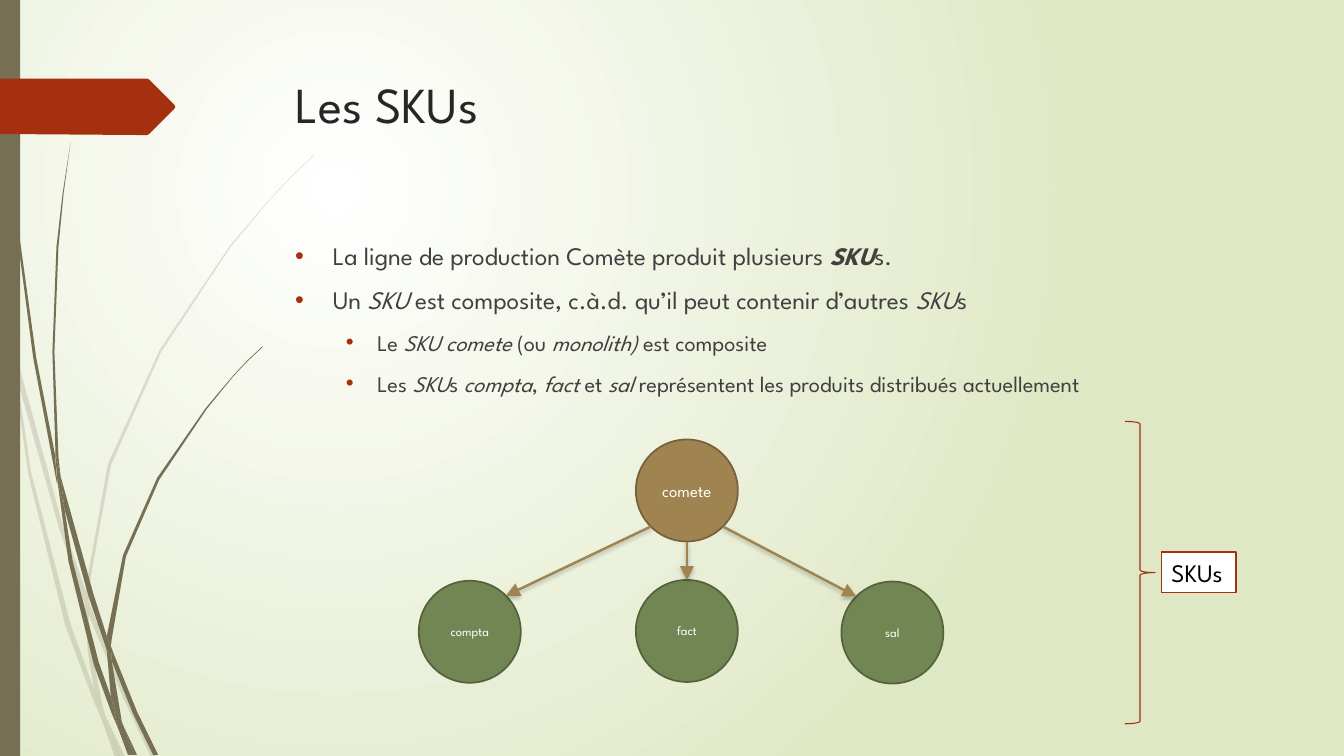
import math
import pptx
import pptx.util
import pptx.oxml
import pptx.oxml.ns
import pptx.dml.color
import pptx.enum.shapes
import pptx.enum.text

Cm = pptx.util.Cm
Pt = pptx.util.Pt
qn = pptx.oxml.ns.qn
KIND = pptx.enum.shapes.MSO_SHAPE
FONT = "League Spartan"
SPACE = 'xmlns:a="http://schemas.openxmlformats.org/drawingml/2006/main"'
HUES = {
    "white": "FFFFFF", "lime": "DFE8C4", "olive": "766F54", "rust": "A53010",
    "brick": "9E2E0F", "title": "262626", "body": "404040", "black": "000000",
    "tan": "9F8351", "brown": "76613C", "green": "728653", "moss": "54633D",
}
SIZE = 2.57
TOP = (17.31, 12.36)
PARTS = [
    ("compta", (11.84, 15.92), 135, 315),
    ("fact", (17.31, 15.9), 90, 270),
    ("sal", (22.49, 15.94), 45, 225),
]
GRID = Cm(2.54) / 100
PALE = [
    [(11, 350), (9, 322), (0, 282), (0, 299), (10, 344)],
    [(58, 522), (84, 599), (85, 586), (62, 520), (14, 345), (17, 376)],
    [(92, 607), (88, 596), (88, 610), (123, 694), (150, 751), (155, 751), (127, 692)],
    [(119, 751), (124, 751), (105, 711)],
    [(93, 683), (70, 619), (31, 469), (17, 376), (11, 350), (28, 470),
     (65, 621), (92, 693), (101, 714), (99, 707)],
    [(84, 599), (87, 646), (93, 683), (96, 692), (105, 711), (103, 706),
     (91, 646), (88, 610), (88, 608)],
    [(88, 584), (110, 462), (160, 349), (229, 245), (268, 198), (290, 175),
     (312, 154), (312, 153), (289, 175), (268, 197), (228, 244), (158, 348),
     (107, 461), (85, 584), (85, 586), (88, 596)],
    [(101, 714), (114, 751), (119, 751)],
    [(88, 608), (88, 610), (88, 596), (85, 586), (84, 599)],
    [(96, 692), (93, 683), (99, 707), (101, 714), (119, 751), (105, 711)],
]
DARK = [
    [(7, 110), (17, 233), (33, 355), (56, 477), (57, 481), (55, 457), (55, 453),
     (36, 355), (19, 232), (8, 109), (5, 48), (4, 0), (3, 0), (4, 48)],
    [(88, 592), (106, 645), (106, 633), (106, 631), (93, 590), (60, 472), (64, 505)],
    [(113, 649), (110, 641), (111, 656), (132, 708), (152, 749), (157, 749), (136, 706)],
    [(110, 691), (98, 657), (72, 556), (64, 505), (57, 477), (68, 557),
     (93, 659), (111, 708), (117, 722), (116, 717)],
    [(60, 472), (58, 453), (54, 349), (58, 245), (63, 193), (70, 141),
     (62, 193), (56, 245), (52, 349), (55, 449)],
    [(133, 749), (136, 749), (122, 719)],
    [(57, 477), (64, 505), (60, 472), (55, 449), (55, 453)],
    [(111, 633), (125, 552), (158, 476), (205, 406), (231, 374), (245, 359),
     (261, 344), (260, 344), (245, 358), (231, 373), (204, 405), (156, 474),
     (122, 551), (106, 631), (110, 641)],
    [(117, 722), (127, 749), (131, 749)],
    [(106, 645), (110, 691), (116, 706), (122, 719), (121, 716), (111, 656), (109, 651)],
    [(106, 645), (109, 651), (111, 656), (110, 641), (106, 631), (106, 633)],
    [(116, 706), (110, 691), (116, 717), (117, 722), (130, 749), (133, 749), (122, 719)],
]
FLAG = [(174, 106), (173, 108), (148, 133), (146, 134), (136, 134), (0, 133),
        (0, 78), (136, 78), (146, 78), (148, 79), (173, 104)]
POINTS = [
    (0, [("La ligne de production Comète produit plusieurs ", ""),
         ("SKU", "bi"), ("s.", "")]),
    (0, [("Un ", ""), ("SKU", "i"),
         (" est composite, c.à.d. qu’il peut contenir d’autres ", ""),
         ("SKU", "i"), ("s", "")]),
    (1, [("Le ", ""), ("SKU comete", "i"), (" (ou ", ""),
         ("monolith) ", "i"), ("est composite", "")]),
    (1, [("Les ", ""), ("SKU", "i"), ("s ", ""), ("compta", "i"), (", ", ""),
         ("fact", "i"), (" et ", ""), ("sal", "i"),
         (" représentent les produits distribués actuellement", "")]),
]


def tint(name):
    return pptx.dml.color.RGBColor.from_string(HUES[name])


def node(xml):
    return pptx.oxml.parse_xml(f"<a:box {SPACE}>{xml}</a:box>")[0]


def paint(shape, fill=None, line=None, width=1.25):
    shape.shadow.inherit = False
    if fill:
        shape.fill.solid()
        shape.fill.fore_color.rgb = tint(fill)
    else:
        shape.fill.background()
    if line:
        shape.line.color.rgb = tint(line)
        shape.line.width = Pt(width)
    else:
        shape.line.fill.background()


def block(slide, kind, x, y, w, h, **look):
    shape = slide.shapes.add_shape(kind, Cm(x), Cm(y), Cm(w), Cm(h))
    paint(shape, **look)
    return shape


def outline(slide, spots, fill, clear=False):
    pen = slide.shapes.build_freeform(*spots[0], scale=GRID)
    pen.add_line_segments(spots[1:], close=True)
    shape = pen.convert_to_shape()
    paint(shape, fill)
    if clear:
        shape._element.spPr.find(qn("a:solidFill"))[0].append(node('<a:alpha val="20000"/>'))


def write(para, text, size, hue, style=""):
    run = para.add_run()
    run.text = text
    font = run.font
    font.name, font.size = FONT, Pt(size)
    font.color.rgb = tint(hue)
    font.bold, font.italic = "b" in style, "i" in style


def field(slide, x, y, w, h):
    frame = slide.shapes.add_textbox(Cm(x), Cm(y), Cm(w), Cm(h)).text_frame
    frame.word_wrap = True
    return frame


def bullet(para, level):
    para.level = level
    para.space_before = Pt(10)
    props = para._p.get_or_add_pPr()
    props.set("marL", str(Cm((0.95, 2.07)[level])))
    props.set("indent", str(-Cm((0.95, 0.79)[level])))
    props.append(node(f'<a:buClr><a:srgbClr val="{HUES["rust"]}"/></a:buClr>'))
    props.append(node('<a:buFont typeface="Arial"/>'))
    props.append(node('<a:buChar char="•"/>'))


def disc(slide, text, mid, size, fill, line):
    x, y = mid
    shape = block(slide, KIND.OVAL, x - SIZE / 2, y - SIZE / 2, SIZE, SIZE, fill=fill, line=line)
    frame = shape.text_frame
    frame.vertical_anchor = pptx.enum.text.MSO_ANCHOR.MIDDLE
    frame.paragraphs[0].alignment = pptx.enum.text.PP_ALIGN.CENTER
    write(frame.paragraphs[0], text, size, "white")


def rim(mid, angle):
    turn = math.radians(angle)
    return Cm(mid[0] + SIZE / 2 * math.cos(turn)), Cm(mid[1] + SIZE / 2 * math.sin(turn))


def arrow(slide, start, end):
    link = slide.shapes.add_connector(pptx.enum.shapes.MSO_CONNECTOR.STRAIGHT, *start, *end)
    link.line.color.rgb = tint("tan")
    link.line.width = Pt(1.75)
    props = link._element.spPr
    props.find(qn("a:ln")).append(node('<a:tailEnd type="triangle" w="lg" len="lg"/>'))
    props.append(node(
        f'<a:effectLst><a:outerShdw blurRad="{Pt(3)}" dist="{Pt(2)}" dir="5400000">'
        '<a:srgbClr val="000000"><a:alpha val="25000"/></a:srgbClr></a:outerShdw></a:effectLst>'))


def ground(slide):
    fill = slide.background.fill
    fill.gradient()
    for stop, hue, place in zip(fill.gradient_stops, ("white", "lime"), (0, 1)):
        stop.color.rgb = tint(hue)
        stop.position = place
    grad = next(slide._element.iter(qn("a:gradFill")))
    grad.replace(grad.find(qn("a:lin")), node(
        '<a:path path="circle"><a:fillToRect l="50000" t="50000" r="100000" b="100000"/></a:path>'))


def main():
    deck = pptx.Presentation()
    deck.slide_width, deck.slide_height = Cm(33.87), Cm(19.05)
    slide = deck.slides.add_slide(deck.slide_layouts[6])
    ground(slide)
    for spots in PALE:
        outline(slide, spots, "olive", clear=True)
    for spots in DARK:
        outline(slide, spots, "olive")
    block(slide, KIND.RECTANGLE, 0, 0, 0.51, 19.05, fill="olive")
    outline(slide, FLAG, "rust")

    write(field(slide, 7.21, 1.73, 24.77, 3.56).paragraphs[0], "Les SKUs", 36, "title")
    body = field(slide, 7.19, 5.93, 24.77, 3.94)
    for i, (level, runs) in enumerate(POINTS):
        para = body.add_paragraph() if i else body.paragraphs[0]
        bullet(para, level)
        for text, style in runs:
            write(para, text, (18, 16)[level], "body", style)

    disc(slide, "comete", TOP, 12, "tan", "brown")
    for text, mid, _, _ in PARTS[::-1]:
        disc(slide, text, mid, 9, "green", "moss")
    for _, mid, start, end in PARTS:
        arrow(slide, rim(TOP, start), rim(mid, end))

    block(slide, KIND.RIGHT_BRACE, 28.35, 10.62, 0.76, 7.62, line="brick", width=0.75)
    label = block(slide, KIND.RECTANGLE, 29.27, 13.91, 1.88, 1.02, fill="white", line="rust")
    frame = label.text_frame
    frame.word_wrap = False
    frame.vertical_anchor = pptx.enum.text.MSO_ANCHOR.TOP
    frame.paragraphs[0].alignment = pptx.enum.text.PP_ALIGN.LEFT
    write(frame.paragraphs[0], "SKUs", 18, "black")
    deck.save("out.pptx")


main()
